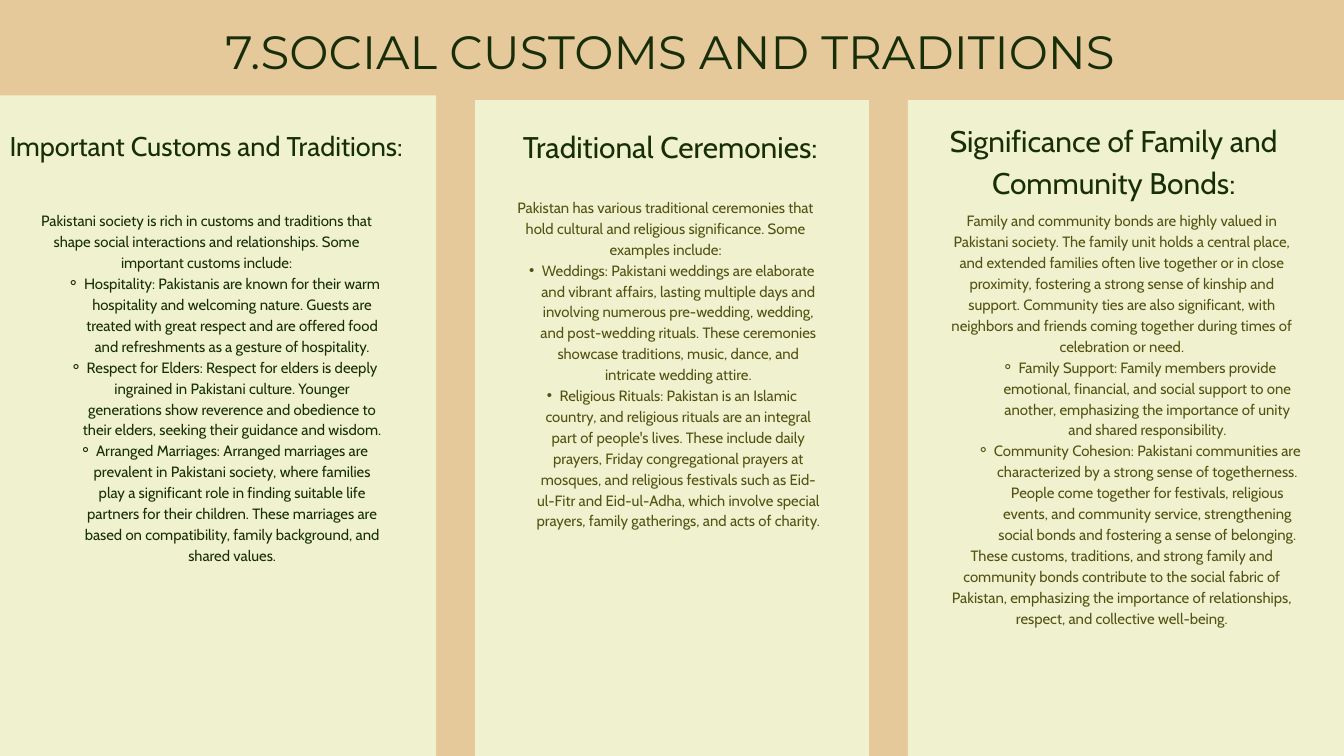
from collections import namedtuple

from lxml.etree import SubElement
from pptx import Presentation
from pptx.dml.color import RGBColor
from pptx.enum.shapes import MSO_SHAPE
from pptx.enum.text import MSO_ANCHOR, MSO_AUTO_SIZE, PP_ALIGN
from pptx.oxml.ns import qn
from pptx.util import Emu, Pt

PX = 9144
COLORS = {"sand": "E6C99B", "cream": "F0F1CF", "forest": "172E08", "olive": "525312"}

Box = namedtuple("Box", "left top width height")
Bullet = namedtuple("Bullet", "char level margin indent")
Column = namedtuple("Column", "panel heading heading_box heading_size body_box color items")

PLAIN = None
DOT = Bullet("•", 1, 38, -19)
RING = Bullet("⚬", 2, 76, -25)

COLUMNS = [
    Column(
        Box(-1, 142, 650, 1001), "Important Customs and Traditions:",
        Box(-16, 42, 648, 111), 29, Box(45, 169, 527, 663), "forest",
        [
            (PLAIN, "Pakistani society is rich in customs and traditions that shape social "
             "interactions and relationships. Some important customs include:"),
            (RING, "Hospitality: Pakistanis are known for their warm hospitality and welcoming "
             "nature. Guests are treated with great respect and are offered food and "
             "refreshments as a gesture of hospitality."),
            (RING, "Respect for Elders: Respect for elders is deeply ingrained in Pakistani "
             "culture. Younger generations show reverence and obedience to their elders, "
             "seeking their guidance and wisdom."),
            (RING, "Arranged Marriages: Arranged marriages are prevalent in Pakistani society, "
             "where families play a significant role in finding suitable life partners for "
             "their children. These marriages are based on compatibility, family background, "
             "and shared values."),
        ],
    ),
    Column(
        Box(707, 149, 586, 976), "Traditional Ceremonies:",
        Box(10, 34, 561, 59), 32, Box(51, 142, 465, 633), "olive",
        [
            (PLAIN, "Pakistan has various traditional ceremonies that hold cultural and "
             "religious significance. Some examples include:"),
            (DOT, "Weddings: Pakistani weddings are elaborate and vibrant affairs, lasting "
             "multiple days and involving numerous pre-wedding, wedding, and post-wedding "
             "rituals. These ceremonies showcase traditions, music, dance, and intricate "
             "wedding attire."),
            (DOT, "Religious Rituals: Pakistan is an Islamic country, and religious rituals "
             "are an integral part of people's lives. These include daily prayers, Friday "
             "congregational prayers at mosques, and religious festivals such as Eid-ul-Fitr "
             "and Eid-ul-Adha, which involve special prayers, family gatherings, and acts of "
             "charity."),
        ],
    ),
    Column(
        Box(1351, 149, 649, 976), "Significance of Family and Community Bonds:",
        Box(26, 25, 561, 120), 32, Box(51, 162, 535, 784), "olive",
        [
            (PLAIN, "Family and community bonds are highly valued in Pakistani society. The "
             "family unit holds a central place, and extended families often live together or "
             "in close proximity, fostering a strong sense of kinship and support. Community "
             "ties are also significant, with neighbors and friends coming together during "
             "times of celebration or need."),
            (RING, "Family Support: Family members provide emotional, financial, and social "
             "support to one another, emphasizing the importance of unity and shared "
             "responsibility."),
            (RING, "Community Cohesion: Pakistani communities are characterized by a strong "
             "sense of togetherness. People come together for festivals, religious events, "
             "and community service, strengthening social bonds and fostering a sense of "
             "belonging."),
            (PLAIN, "These customs, traditions, and strong family and community bonds "
             "contribute to the social fabric of Pakistan, emphasizing the importance of "
             "relationships, respect, and collective well-being."),
        ],
    ),
]


def px(length):
    """Turn px into EMU."""
    return Emu(length * PX)


def rgb(name):
    """Look up a colour by name."""
    return RGBColor.from_string(COLORS[name])


def inside(outer, inner):
    """Shift a box from its parent's corner to the slide's."""
    return inner._replace(left=outer.left + inner.left, top=outer.top + inner.top)


def set_bullet(para, bullet):
    """Give a paragraph its bullet and indents, or none."""
    properties = para._p.get_or_add_pPr()
    properties.set("marL", str(px(bullet.margin) if bullet else 0))
    properties.set("indent", str(px(bullet.indent) if bullet else 0))
    if bullet:
        para.level = bullet.level
        SubElement(properties, qn("a:buChar"), char=bullet.char)
    else:
        SubElement(properties, qn("a:buNone"))


def write(shape, box, items, *, size, leading, color="forest", font="Cabin"):
    """Place a text shape and fill it with formatted, centred paragraphs."""
    shape.left, shape.top, shape.width, shape.height = map(px, box)
    frame = shape.text_frame
    frame.word_wrap = True
    frame.auto_size = MSO_AUTO_SIZE.NONE
    frame.vertical_anchor = MSO_ANCHOR.TOP
    frame.margin_left = frame.margin_top = frame.margin_right = frame.margin_bottom = 0
    for index, (bullet, text) in enumerate(items):
        para = frame.add_paragraph() if index else frame.paragraphs[0]
        set_bullet(para, bullet)
        para.alignment = PP_ALIGN.CENTER
        para.line_spacing = Pt(leading)
        para.space_before = Pt(0)
        span = para.add_run()
        span.text = text
        span.font.name = font
        span.font.size = Pt(size)
        span.font.bold = False
        span.font.color.rgb = rgb(color)


def add_column(page, body, column):
    """Draw one panel with its heading and list."""
    panel = page.shapes.add_shape(MSO_SHAPE.RECTANGLE, *map(px, column.panel))
    panel.shadow.inherit = False
    panel.fill.solid()
    panel.fill.fore_color.rgb = rgb("cream")
    panel.line.fill.background()
    heading_box = inside(column.panel, column.heading_box)
    heading = page.shapes.add_textbox(*map(px, heading_box))
    write(heading, heading_box, [(PLAIN, column.heading)],
          size=column.heading_size, leading=column.heading_size * 1.4)
    page.shapes.element.append(body.element)
    write(body, inside(column.panel, column.body_box), column.items,
          size=16, leading=22.4, color=column.color)


def main():
    """Build the deck and save it."""
    deck = Presentation()
    deck.slide_width, deck.slide_height = px(2000), px(1125)
    page = deck.slides.add_slide(deck.slide_layouts.get_by_name("Comparison"))
    page.background.fill.solid()
    page.background.fill.fore_color.rgb = rgb("sand")
    title, *bodies = list(page.placeholders)
    write(title, Box(168, 20, 1659, 92), [(PLAIN, "7.SOCIAL CUSTOMS AND TRADITIONS")],
          size=50, leading=70, font="Montserrat")
    for body, column in zip(bodies, COLUMNS):
        add_column(page, body, column)
    for spare in bodies[len(COLUMNS):]:
        page.shapes.element.remove(spare.element)
    deck.save("out.pptx")


if __name__ == "__main__":
    main()
